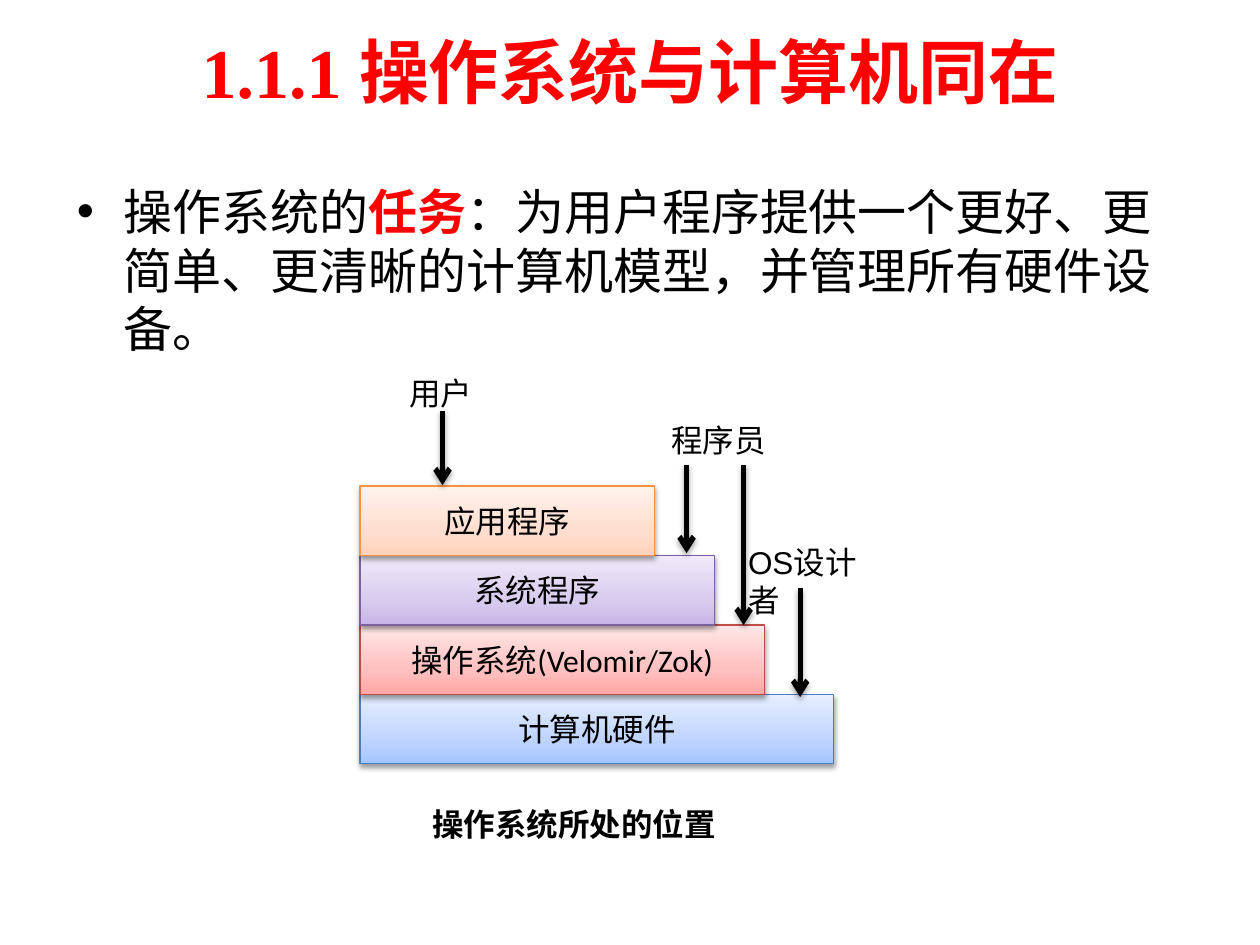
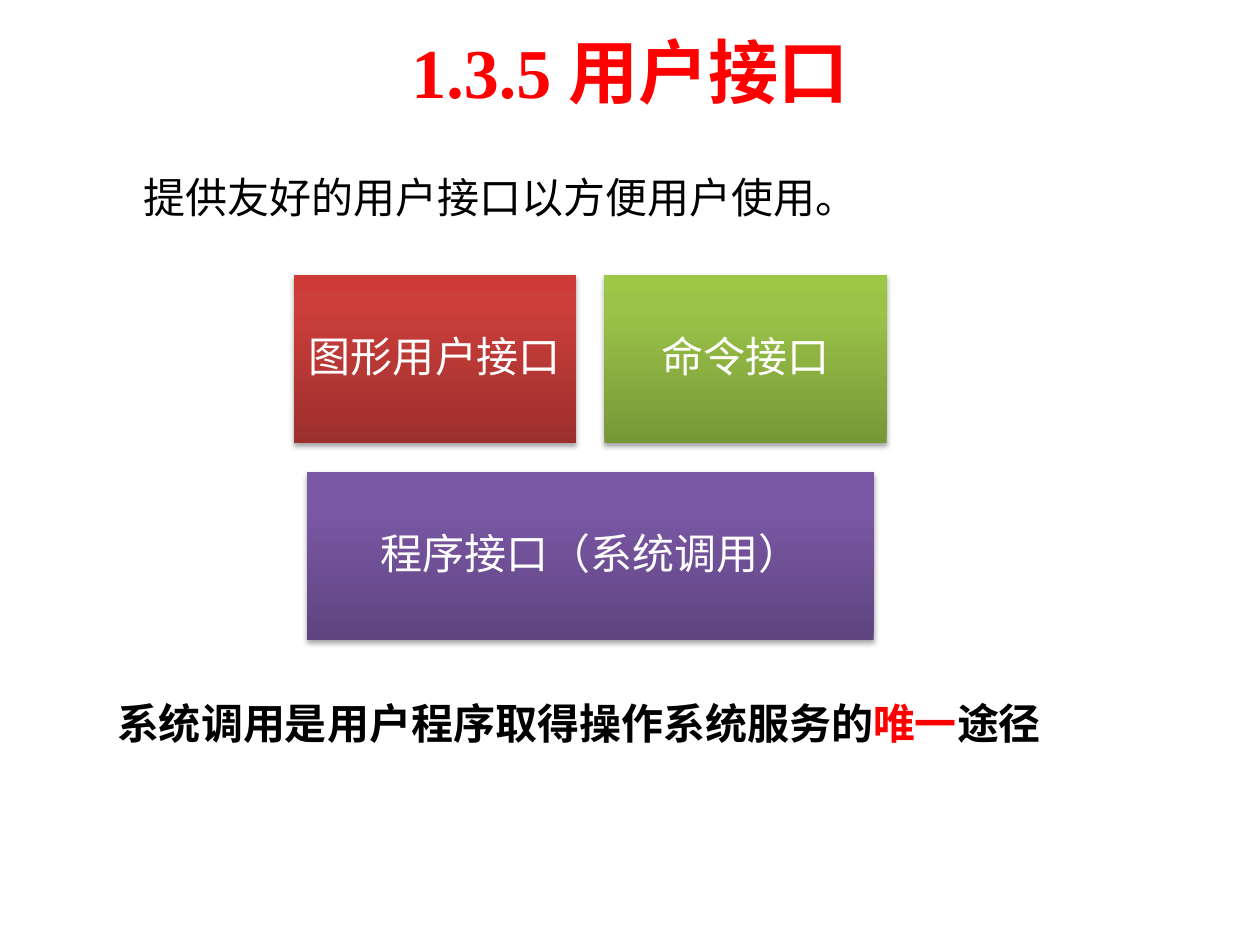
from lxml.etree import SubElement
from pptx import Presentation
from pptx.dml.color import RGBColor
from pptx.enum.shapes import MSO_CONNECTOR, MSO_SHAPE
from pptx.enum.text import MSO_ANCHOR, PP_ALIGN
from pptx.oxml.ns import qn
from pptx.util import Cm, Pt

COLORS = {"black": "000000", "red": "FF0000", "white": "FFFFFF"}
SERIF, SANS, LABEL, CJK = "Times New Roman", "Calibri", "Arial", "Noto Sans CJK SC"

# Text is a list of (words, run format) pairs.
TASK = [
    ("操作系统的", {}),
    ("任务", {"color": "red", "bold": True}),
    ("：为用户程序提供一个更好、更简单、更清晰的计算机模型，并管理所有硬件设备。", {}),
]
CONCLUSION = [
    ("系统调用是用户程序取得操作系统服务的", {}),
    ("唯一", {"color": "red"}),
    ("途径", {}),
]

# From the bottom up: name, width in cm, line colour, gradient from bottom to top
LAYERS = [
    ("计算机硬件", 9.55, "4B7EBC", ("A4C4FF", "BFD4FF", "E6EEFF")),
    ("操作系统(Velomir/Zok)", 8.15, "BF4C48", ("FFA6A5", "FFC0BF", "FFE7E7")),
    ("系统程序", 7.14, "7D60A0", ("C9B5E8", "D8CBEE", "F0EAF9")),
    ("应用程序", 5.94, "F69240", ("FFD2BD", "FFDED0", "FFF2ED")),
]
LAYER_LEFT, LAYER_BOTTOM, LAYER_HEIGHT = 7.26, 15.4, 1.4

# Name, left, top, width, wraps
ROLES = [
    ("用户", 8, 7.42, 1.8, False),
    ("程序员", 13.28, 8.36, 2.44, False),
    ("OS设计者", 14.83, 10.82, 3.05, True),
]
# x, top, bottom
ARROWS = [(8.92, 8.28, 9.78), (14.99, 9.37, 12.6), (16.13, 11.86, 14.05), (13.84, 9.37, 11.15)]

# Rows of equal boxes: box width, then name and gradient from bottom to top
INTERFACE_ROWS = [
    (5.69, [("图形用户接口", ("9C2F2D", "CB3E3A", "CE3B37")),
            ("命令接口", ("779737", "9BC348", "9DC746"))]),
    (11.43, [("程序接口（系统调用）", ("5F4480", "7B58A6", "7C57A8"))]),
]
INTERFACE_CENTER, INTERFACE_TOP, INTERFACE_HEIGHT, INTERFACE_GAP = 11.9, 5.54, 3.4, 0.57


def rgb(color):
    return RGBColor.from_string(COLORS.get(color, color))


def write(shape, text, size=18, font=SANS, color="black", bold=False, align=PP_ALIGN.LEFT,
          anchor=MSO_ANCHOR.TOP, wrap=True, spacing=None):
    """Fill the shape with one paragraph; text is a string or (words, format) pairs."""
    frame = shape.text_frame
    frame.word_wrap = wrap
    frame.vertical_anchor = anchor
    para = frame.paragraphs[0]
    para.alignment = align
    if spacing:
        para.line_spacing = spacing
    for words, changes in [(text, {})] if isinstance(text, str) else text:
        span = para.add_run()
        span.text = words
        span.font.size = Pt(size)
        span.font.name = font
        span.font.bold = changes.get("bold", bold)
        span.font.color.rgb = rgb(changes.get("color", color))
        SubElement(span.font._element, qn("a:ea"), typeface=CJK)
    return para


def add_text(page, left, top, width, height, text, **style):
    box = page.shapes.add_textbox(Cm(left), Cm(top), Cm(width), Cm(height))
    return write(box, text, **style)


def add_title(page, text):
    add_text(page, 1.27, 0.13, 22.86, 2.59, text, size=40, font=SERIF, color="red", bold=True,
             align=PP_ALIGN.CENTER, anchor=MSO_ANCHOR.MIDDLE)


def add_bullet(para):
    props = para._p.get_or_add_pPr()
    props.set("marL", str(Cm(0.95)))
    props.set("indent", str(-Cm(0.95)))
    SubElement(props, qn("a:buFont"), typeface=LABEL)
    SubElement(props, qn("a:buChar"), char="•")


def add_shadow(shape, alpha, distance):
    effects = SubElement(shape._element.spPr, qn("a:effectLst"))
    shadow = SubElement(effects, qn("a:outerShdw"), blurRad=str(Pt(3.1)),
                        dist=str(Pt(distance)), dir="5400000", rotWithShape="0")
    black = SubElement(shadow, qn("a:srgbClr"), val=COLORS["black"])
    SubElement(black, qn("a:alpha"), val=str(alpha * 1000))


def add_block(page, left, top, width, height, text, gradient, middle, line=None,
              shadow=(35, 1.8), **style):
    """Add a rectangle with a three-colour gradient; middle is the second stop in percent."""
    block = page.shapes.add_shape(MSO_SHAPE.RECTANGLE, Cm(left), Cm(top), Cm(width), Cm(height))
    block.fill.gradient()
    block.fill.gradient_angle = 90
    stops = block._element.spPr.find(qn("a:gradFill")).find(qn("a:gsLst"))
    for stop in list(stops):
        stops.remove(stop)
    for percent, color in zip((0, middle, 100), gradient):
        stop = SubElement(stops, qn("a:gs"), pos=str(percent * 1000))
        SubElement(stop, qn("a:srgbClr"), val=color)
    if line:
        block.line.color.rgb = rgb(line)
        block.line.width = Pt(0.75)
    else:
        block.line.fill.background()
    add_shadow(block, *shadow)
    write(block, text, align=PP_ALIGN.CENTER, anchor=MSO_ANCHOR.MIDDLE, **style)


def add_down_arrow(page, x, top, bottom):
    arrow = page.shapes.add_connector(MSO_CONNECTOR.STRAIGHT, Cm(x), Cm(top), Cm(x), Cm(bottom))
    arrow.line.color.rgb = rgb("black")
    arrow.line.width = Pt(3)
    SubElement(arrow.line._get_or_add_ln(), qn("a:tailEnd"), type="arrow")
    add_shadow(arrow, 35, 1.8)


def build_position_page(page):
    add_title(page, "1.1.1 操作系统与计算机同在")
    add_bullet(add_text(page, 1.3, 3.53, 22.86, 4.09, TASK, size=28, font=SERIF))
    add_text(page, 8.46, 16.1, 7.5, 1.02, "操作系统所处的位置", font=CJK, bold=True)
    for level, (name, width, line, gradient) in enumerate(LAYERS, start=1):
        top = LAYER_BOTTOM - level * LAYER_HEIGHT
        add_block(page, LAYER_LEFT, top, width, LAYER_HEIGHT, name, gradient, 35,
                  line=line, shadow=(38, 1.6))
    for name, left, top, width, wrap in ROLES:
        add_text(page, left, top, width, 1.02, name, font=LABEL, wrap=wrap)
    for arrow in ARROWS:
        add_down_arrow(page, *arrow)


def build_interface_page(page):
    add_title(page, "1.3.5 用户接口")
    add_text(page, 2.65, 3.12, 21.5, 1.6, "提供友好的用户接口以方便用户使用。",
             size=24, font=CJK, spacing=1.2)
    for row, (width, boxes) in enumerate(INTERFACE_ROWS):
        top = INTERFACE_TOP + row * (INTERFACE_HEIGHT + INTERFACE_GAP)
        step = width + INTERFACE_GAP
        left = INTERFACE_CENTER - (len(boxes) * step - INTERFACE_GAP) / 2
        for column, (name, gradient) in enumerate(boxes):
            add_block(page, left + column * step, top, width, INTERFACE_HEIGHT, name, gradient,
                      80, size=24, font=SERIF, color="white", spacing=0.9)
    add_text(page, 2.11, 13.94, 20, 1.27, CONCLUSION, size=24, font=CJK, bold=True)


def main():
    deck = Presentation()
    deck.slide_width, deck.slide_height = Cm(25.4), Cm(19.05)
    blank = deck.slide_layouts[6]
    for build in (build_position_page, build_interface_page):
        build(deck.slides.add_slide(blank))
    deck.save("out.pptx")


if __name__ == "__main__":
    main()
